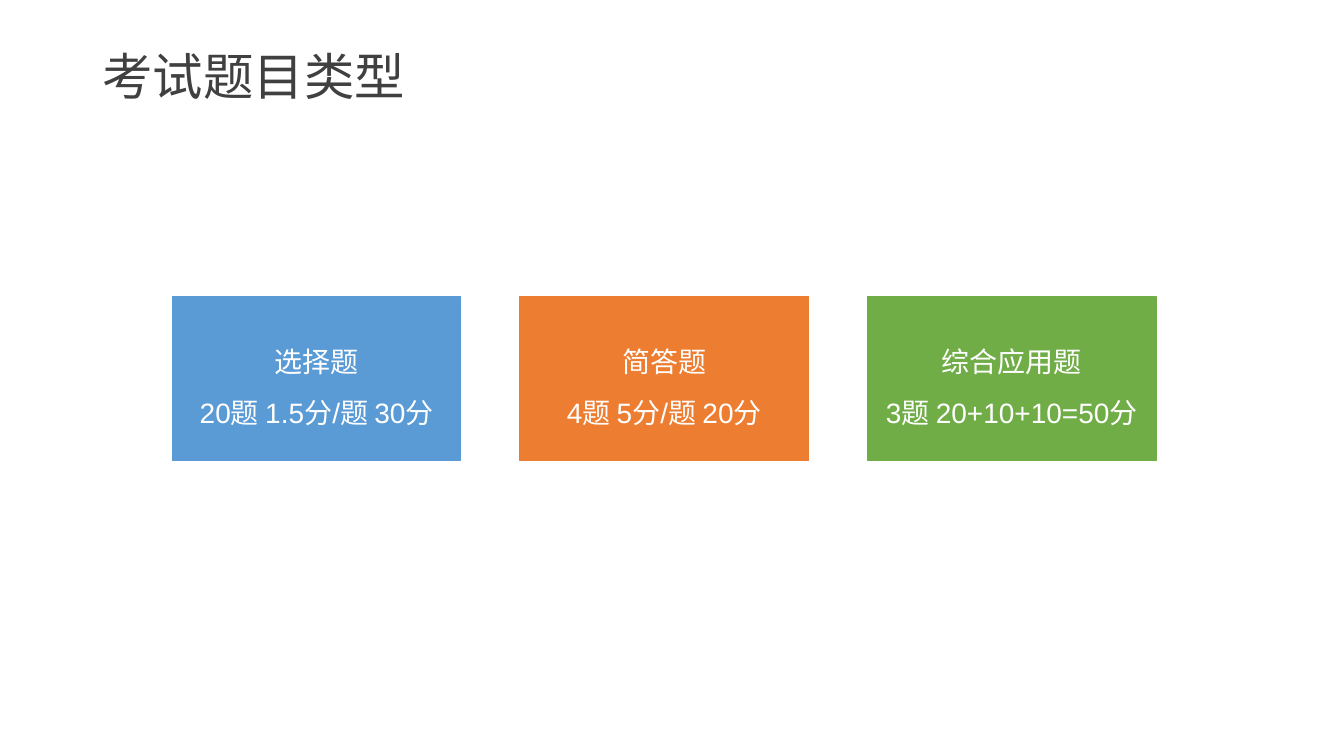
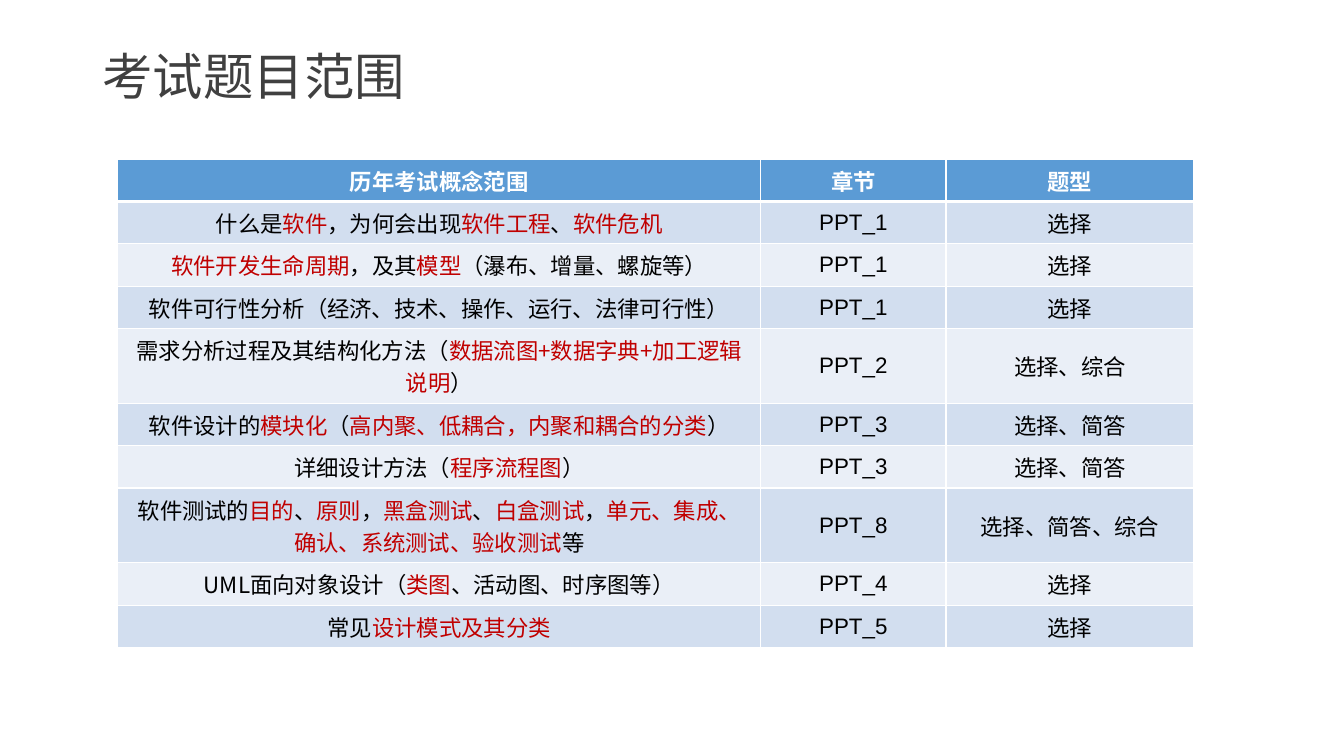
from lxml import etree
from pptx import Presentation
from pptx import util as u
from pptx.dml.color import RGBColor
from pptx.enum import shapes, text
from pptx.oxml import ns

COLORS = {
    "title": "404040", "white": "FFFFFF", "black": "000000", "key": "C00000",
    "blue": "5B9BD5", "orange": "ED7D31", "green": "70AD47",
    "band_dark": "D2DEEF", "band_light": "EAEFF7",
}
LATIN, CJK = "Arial", "Noto Sans CJK SC"

CARDS = [
    ("blue", "选择题", "20题 1.5分/题 30分"),
    ("orange", "简答题", "4题 5分/题 20分"),
    ("green", "综合应用题", "3题 20+10+10=50分"),
]

# Key terms stand between bars
HEADER = ("历年考试概念范围", "章节", "题型")
TOPICS = [
    ("什么是|软件|，为何会出现|软件工程|、|软件危机|", "PPT_1", "选择"),
    ("|软件开发生命周期|，及其|模型|（瀑布、增量、螺旋等）", "PPT_1", "选择"),
    ("软件可行性分析（经济、技术、操作、运行、法律可行性）", "PPT_1", "选择"),
    ("需求分析过程及其结构化方法（|数据流图+数据字典+加工逻辑说明|）",
     "PPT_2", "选择、综合"),
    ("软件设计的|模块化|（|高内聚、低耦合，内聚和耦合的分类|）",
     "PPT_3", "选择、简答"),
    ("详细设计方法（|程序流程图|）", "PPT_3", "选择、简答"),
    ("软件测试的|目的|、|原则|，|黑盒测试|、|白盒测试|，"
     "|单元、集成、确认、系统测试、验收测试|等", "PPT_8", "选择、简答、综合"),
    ("UML面向对象设计（|类图|、活动图、时序图等）", "PPT_4", "选择"),
    ("常见|设计模式及其分类|", "PPT_5", "选择"),
]


def color(name):
    return RGBColor.from_string(COLORS[name])


def style_span(span, size, ink, face=LATIN, bold=False):
    span.font.size = u.Pt(size)
    span.font.bold = bold
    span.font.name = face
    span.font.color.rgb = color(ink)
    east_asian = etree.SubElement(span.font._element, ns.qn("a:ea"))
    east_asian.set("typeface", CJK)


def add_page(deck, title):
    """Add a page with the shared title style."""
    page = deck.slides.add_slide(deck.slide_layouts[5])
    box = page.shapes.title
    box.left, box.top = u.Cm(2.33), u.Cm(1.02)
    box.width, box.height = u.Cm(29.21), u.Cm(1.93)
    box.text_frame.text = title
    box.text_frame.vertical_anchor = text.MSO_ANCHOR.MIDDLE
    para = box.text_frame.paragraphs[0]
    para.alignment = text.PP_ALIGN.LEFT
    para.line_spacing = 0.9
    style_span(para.runs[0], 36, "title", CJK)
    return page


def add_cards(page, left, top, width, height, gap):
    """Place equal cards in a row; width and height are those of one card."""
    for index, (fill, *lines) in enumerate(CARDS):
        card = page.shapes.add_shape(
            shapes.MSO_SHAPE.RECTANGLE, u.Cm(left + index * (width + gap)),
            u.Cm(top), u.Cm(width), u.Cm(height))
        card.shadow.inherit = False
        card.fill.solid()
        card.fill.fore_color.rgb = color(fill)
        card.line.color.rgb = color(fill)
        card.line.width = u.Pt(1)
        card.text_frame.text = "\n".join(lines)
        card.text_frame.word_wrap = True
        card.text_frame.vertical_anchor = text.MSO_ANCHOR.MIDDLE
        for para in card.text_frame.paragraphs:
            para.alignment = text.PP_ALIGN.CENTER
            para.line_spacing = 1.5
            style_span(para.runs[0], 20, "white")


def add_borders(cell, top, bottom):
    """Draw white cell borders; top and bottom are widths in points."""
    properties = cell._tc.get_or_add_tcPr()
    for side, width in (("L", 1), ("R", 1), ("T", top), ("B", bottom)):
        line = etree.SubElement(properties, ns.qn(f"a:ln{side}"), w=str(u.Pt(width)))
        fill = etree.SubElement(line, ns.qn("a:solidFill"))
        etree.SubElement(fill, ns.qn("a:srgbClr"), val=COLORS["white"])


def fill_cell(cell, content, row, column):
    header = row == 0
    add_borders(cell, top=3 if row == 1 else 1, bottom=3 if header else 1)
    cell.fill.solid()
    band = "band_dark" if row % 2 else "band_light"
    cell.fill.fore_color.rgb = color("blue" if header else band)
    cell.vertical_anchor = text.MSO_ANCHOR.MIDDLE
    para = cell.text_frame.paragraphs[0]
    para.alignment = text.PP_ALIGN.CENTER
    face = CJK if column == 0 and not header else LATIN
    for index, part in enumerate(content.split("|")):
        if part:
            span = para.add_run()
            span.text = part
            ink = "white" if header else "key" if index % 2 else "black"
            style_span(span, 16, ink, face, header)


def add_topic_table(page, left, top, column_widths, row_height):
    rows = [HEADER, *TOPICS]
    frame = page.shapes.add_table(
        len(rows), len(column_widths), u.Cm(left), u.Cm(top),
        u.Cm(sum(column_widths)), u.Cm(row_height * len(rows)))
    table = frame.table
    table.horz_banding = False
    for column, width in zip(table.columns, column_widths):
        column.width = u.Cm(width)
    for row, contents in enumerate(rows):
        for column, content in enumerate(contents):
            fill_cell(table.cell(row, column), content, row, column)


def main():
    deck = Presentation()
    deck.slide_width, deck.slide_height = u.Cm(33.87), u.Cm(19.05)

    # Question types
    page = add_page(deck, "考试题目类型")
    add_cards(page, left=4.35, top=7.47, width=7.26, height=4.14, gap=1.5)

    # Topics by chapter
    page = add_page(deck, "考试题目范围")
    add_topic_table(page, left=2.97, top=4.01,
                    column_widths=(16.2, 4.67, 6.25), row_height=0.97)

    deck.save("out.pptx")


if __name__ == "__main__":
    main()
